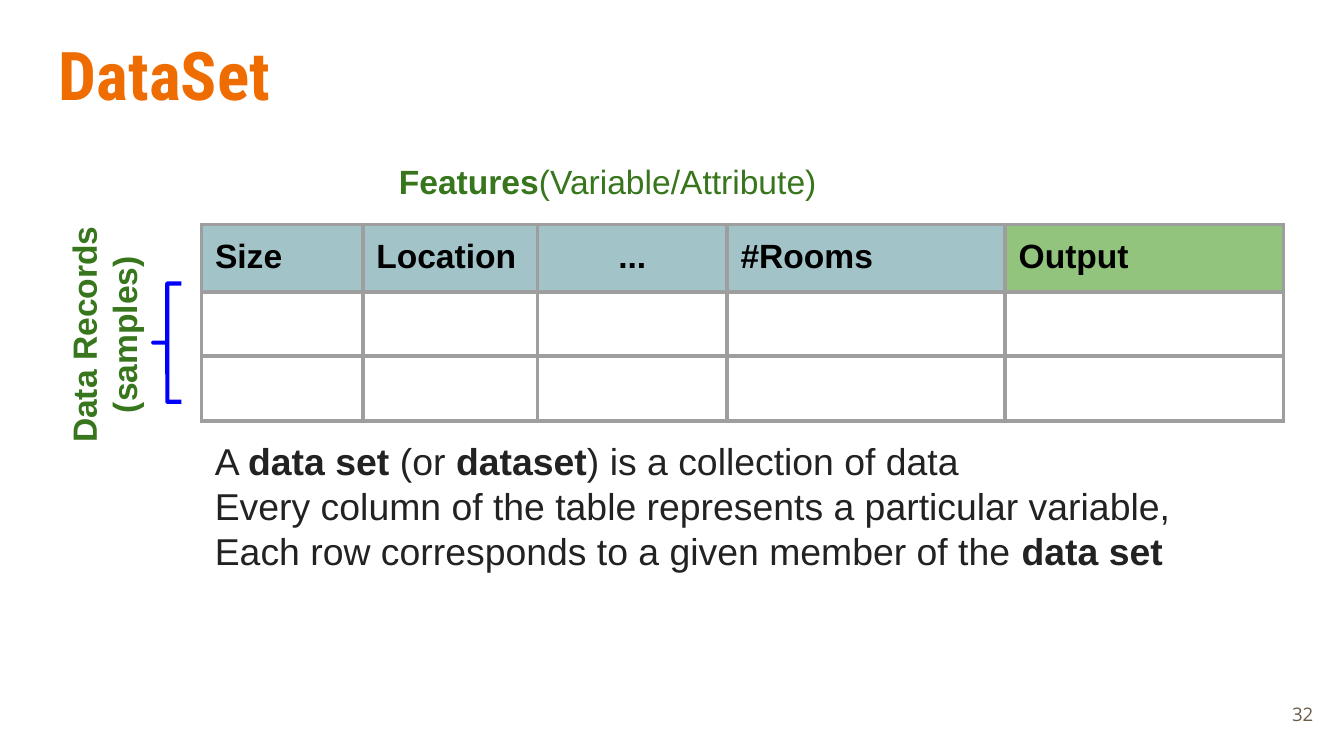
from lxml.etree import SubElement
from pptx import Presentation
from pptx.dml.color import RGBColor
from pptx.enum.shapes import MSO_SHAPE
from pptx.enum.text import MSO_ANCHOR, PP_ALIGN
from pptx.oxml.ns import qn
from pptx.util import Inches, Pt

COLORS = {
    "title": "EF6C00", "label": "38761D", "body": "222222", "head": "000000",
    "number": "695D46", "feature": "A2C4C9", "output": "93C47D",
    "border": "9E9E9E", "brace": "0000FF",
}
GRID = 0.1


def rgb(name):
    return RGBColor.from_string(COLORS[name])


def units(*cells):
    return [Inches(c * GRID) for c in cells]


class Deck:
    def __init__(self, columns, rows):
        self.prs = Presentation()
        self.prs.slide_width, self.prs.slide_height = units(columns, rows)
        self.s = self.prs.slides.add_slide(self.prs.slide_layouts[6])

    def style(self, r, size, color, bold=False, font="Arial"):
        r.font.size, r.font.bold, r.font.name = Pt(size), bold, font
        r.font.color.rgb = rgb(color)

    def text(self, box, paragraphs, size, color, font="Arial",
             align=PP_ALIGN.LEFT, anchor=MSO_ANCHOR.TOP, rotation=0):
        sp = self.s.shapes.add_textbox(*units(*box))
        sp.rotation = rotation
        tf = sp.text_frame
        tf.word_wrap, tf.vertical_anchor = True, anchor
        tf.margin_left = tf.margin_right = tf.margin_top = tf.margin_bottom = Inches(0.1)
        for i, runs in enumerate(paragraphs):
            p = tf.add_paragraph() if i else tf.paragraphs[0]
            p.alignment = align
            for words, bold in runs:
                r = p.add_run()
                r.text = words
                self.style(r, size, color, bold, font)

    def border(self, cell):
        tc_pr = cell._tc.get_or_add_tcPr()
        for side in ("a:lnL", "a:lnR", "a:lnT", "a:lnB"):
            ln = SubElement(tc_pr, qn(side), w=str(Pt(2.25)))
            fill = SubElement(ln, qn("a:solidFill"))
            SubElement(fill, qn("a:srgbClr"), val=COLORS["border"])

    def table(self, left, top, widths, heights, headers):
        box = units(left, top, sum(widths), sum(heights))
        table = self.s.shapes.add_table(len(heights), len(widths), *box).table
        table.first_row = table.horz_banding = False
        for column, width in zip(table.columns, units(*widths)):
            column.width = width
        for row, height in zip(table.rows, units(*heights)):
            row.height = height
        for cell in table.iter_cells():
            self.border(cell)
            cell.fill.background()
        for cell, (words, fill, align) in zip(table.rows[0].cells, headers):
            cell.margin_left = cell.margin_right = Inches(0.1)
            cell.margin_top = cell.margin_bottom = Inches(0.1)
            cell.fill.solid()
            cell.fill.fore_color.rgb = rgb(fill)
            cell.text_frame.text = words
            p = cell.text_frame.paragraphs[0]
            p.alignment = align
            self.style(p.runs[0], 18, "head", True)

    def brace(self, box):
        sp = self.s.shapes.add_shape(MSO_SHAPE.LEFT_BRACE, *units(*box))
        sp.shadow.inherit = False
        sp.adjustments[0], sp.adjustments[1] = 0, 0.5
        sp.fill.background()
        sp.line.color.rgb = rgb("brace")
        sp.line.width = Pt(2.25)


def main():
    deck = Deck(100, 56.25)
    deck.text((3.4, 1.5, 93.2, 7.7), [[("DataSet", True)]], 36, "title",
              "Roboto Condensed")
    left, center = PP_ALIGN.LEFT, PP_ALIGN.CENTER
    deck.table(15, 16.7, (12, 13, 14.1, 20.7, 20.7), (4.9, 4.8, 4.8), [
        ("Size", "feature", left), ("Location", "feature", left),
        ("...", "feature", center), ("#Rooms", "feature", left),
        ("Output", "output", left),
    ])
    deck.text((-2.7, 21.7, 19.2, 6.4), [[("Data Records (samples)", True)]],
              18, "label", align=center, rotation=270)
    deck.brace((11.4, 21.1, 2.1, 8.8))
    deck.text((28.7, 11, 33.7, 4.7),
              [[("Features", True), ("(Variable/Attribute)", False)]], 18, "label")
    deck.text((15, 31.6, 80.5, 24.6), [
        [("A ", False), ("data set", True), (" (or ", False), ("dataset", True),
         (") is a collection of data", False)],
        [("Every column of the table represents a particular variable,", False)],
        [("Each row corresponds to a given member of the ", False),
         ("data set", True)],
    ], 20, "body")
    deck.text((92.7, 51, 6, 4.3), [[("32", False)]], 10, "number", "Open Sans",
              PP_ALIGN.RIGHT, MSO_ANCHOR.MIDDLE)
    deck.prs.save("out.pptx")


if __name__ == "__main__":
    main()
